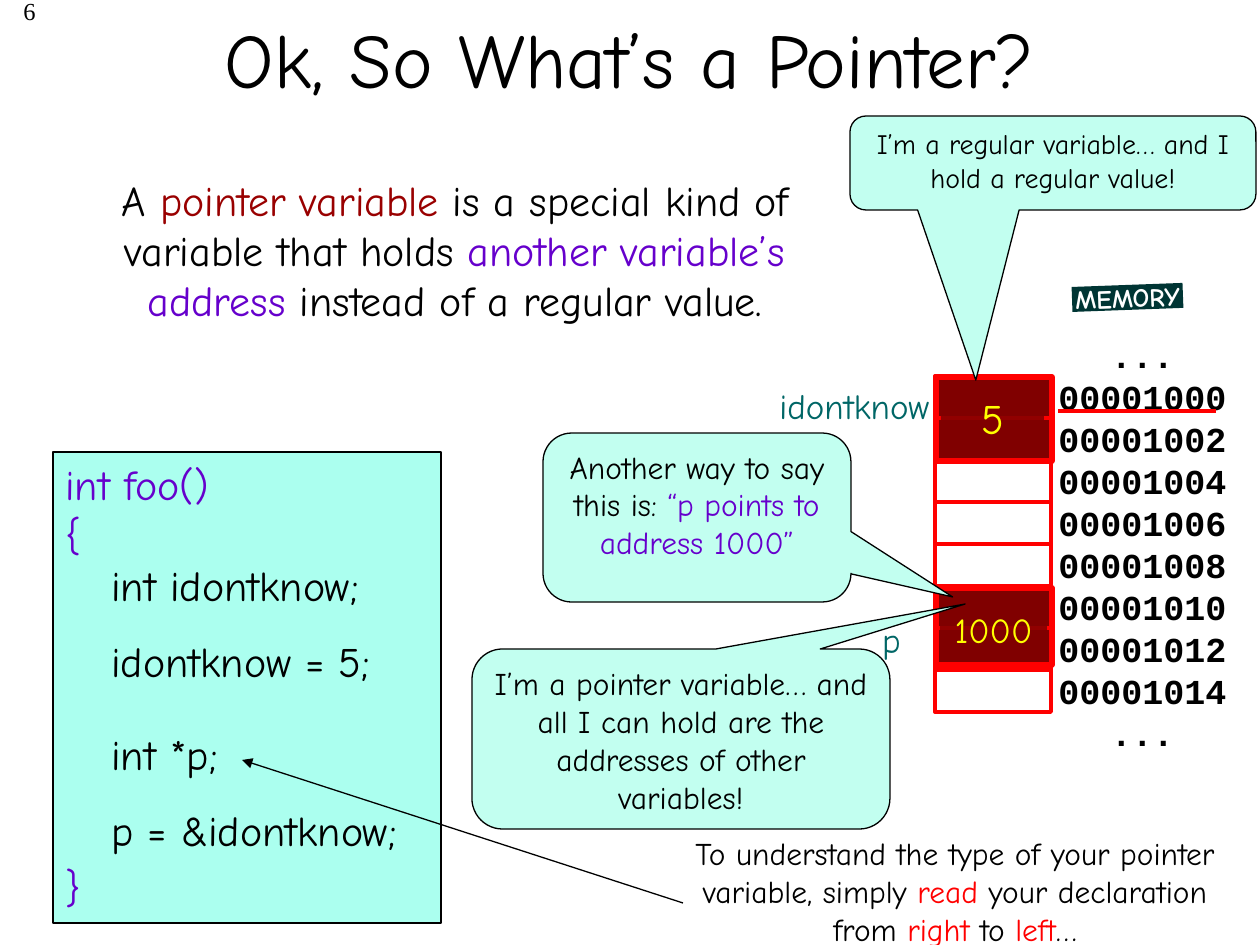
import pptx
import pptx.util
import pptx.dml.color
import pptx.enum.shapes
import pptx.enum.text
import pptx.oxml.ns
from lxml import etree

RGB = pptx.dml.color.RGBColor
SHAPE = pptx.enum.shapes.MSO_SHAPE
ALIGN = pptx.enum.text.PP_ALIGN
ANCHOR = pptx.enum.text.MSO_ANCHOR
Pt = pptx.util.Pt
qn = pptx.oxml.ns.qn

BLACK = RGB(0, 0, 0)
WHITE = RGB(255, 255, 255)
RED = RGB(255, 0, 0)
MAROON = RGB(0x80, 0, 0)
CRIMSON = RGB(0x99, 0, 0)
PURPLE = RGB(0x66, 0, 0xCC)
TEAL = RGB(0, 0x66, 0x66)
DARK_TEAL = RGB(0, 0x35, 0x34)
YELLOW = RGB(255, 255, 0)
MINT = RGB(0xAB, 0xFF, 0xEF)
PALE_MINT = RGB(0xC2, 0xFF, 0xF0)

PX = 914400 / 126  # EMU in one px

deck = pptx.Presentation()
deck.slide_width, deck.slide_height = round(1260 * PX), round(945 * PX)
slide = deck.slides.add_slide(deck.slide_layouts[6])


def add_box(at, kind=None, fill=None, line=None, width=0.75):
    """Add a preset shape, or a text box when no kind is given."""
    place = [round(v * PX) for v in at]
    if kind is None:
        return slide.shapes.add_textbox(*place)
    box = slide.shapes.add_shape(kind, *place)
    box.shadow.inherit = False
    if fill is None:
        box.fill.background()
    else:
        box.fill.solid()
        box.fill.fore_color.rgb = fill
    if line is None:
        box.line.fill.background()
    else:
        box.line.color.rgb = line
        box.line.width = Pt(width)
    return box


def write(box, paragraphs, size, align=ALIGN.CENTER, font="Comic Neue", bold=False,
          wrap=True, anchor=ANCHOR.TOP, gaps=None, pitch=None):
    """Each paragraph is a list of (text, colour) runs; gaps maps its index to space before."""
    frame = box.text_frame
    frame.word_wrap = wrap
    frame.vertical_anchor = anchor
    for i, runs in enumerate(paragraphs):
        paragraph = frame.add_paragraph() if i else frame.paragraphs[0]
        paragraph.alignment = align
        if gaps and i in gaps:
            paragraph.space_before = Pt(gaps[i])
        if pitch:
            paragraph.line_spacing = Pt(pitch)
        for text, colour in runs:
            run = paragraph.add_run()
            run.text = text
            run.font.name = font
            run.font.size = Pt(size)
            run.font.bold = bold
            run.font.color.rgb = colour


# Page number and title
write(add_box((0, -10, 48, 63)), [[("6", BLACK)]], 14, ALIGN.RIGHT, "Times New Roman")
write(add_box((94, -21, 1072, 157)), [[("Ok, So What’s a Pointer?", BLACK)]], 44,
      anchor=ANCHOR.MIDDLE)

# Variables in memory: name, name box, filled cells
for name, name_at, cells_at in [
    ("idontknow", (689, 378, 253, 55), (936, 377, 116, 84)),
    ("p", (820, 612, 93, 55), (936, 588, 116, 77)),
]:
    write(add_box(name_at), [[(name, TEAL)]], 20, ALIGN.RIGHT, wrap=False)
    add_box(cells_at, SHAPE.RECTANGLE, MAROON, RED, 3)

# Memory cells and their addresses
CELL_TOP, CELL_HEIGHT, CELL_COUNT = 376, 42, 8
for row in range(CELL_COUNT):
    add_box((935, CELL_TOP + row * CELL_HEIGHT, 116, CELL_HEIGHT), SHAPE.RECTANGLE,
            line=RED, width=2.25)
addresses = ["...", "00001000", "00001002", "00001004", "00001006", "00001008",
             "00001010", "00001012", "00001014", "..."]
write(add_box((1045, 327, 195, 432)), [[(address, BLACK)] for address in addresses], 20,
      font="Courier New", bold=True, wrap=False, pitch=24)
memory_label = add_box((1072, 285, 111, 25), SHAPE.RECTANGLE, DARK_TEAL)
memory_label.rotation = 357.9
write(memory_label, [[("MEMORY", WHITE)]], 15, bold=True, wrap=False, anchor=ANCHOR.MIDDLE)

# Code listing: frame of the function, then its two groups of statements
write(add_box((53, 452, 388, 471), SHAPE.RECTANGLE, MINT, BLACK, 1),
      [[("int foo()", PURPLE)], [("{", PURPLE)], [("}", PURPLE)]], 24, ALIGN.LEFT,
      gaps={2: 172.5})
for top, statements in [(553, ("int idontknow;", "idontknow = 5;")),
                        (722, ("int *p;", "p = &idontknow;"))]:
    write(add_box((99, top, 334, 140)), [[(code, BLACK)] for code in statements], 24,
          ALIGN.LEFT, wrap=False, gaps={1: 15})

# Values held by the variables, on a translucent cover
for value, size, value_at in [("5", 24, (941, 386, 103, 63)),
                              ("1000", 20, (940, 602, 107, 55))]:
    cover = add_box(value_at, SHAPE.RECTANGLE, MAROON)
    colour = cover.element.spPr.find(qn("a:solidFill"))[0]
    etree.SubElement(colour, qn("a:alpha")).set("val", "86000")
    write(cover, [[(value, YELLOW)]], size)

# Speech callouts
for callout_at, tail, size, runs in [
    ((850, 116, 406, 94), (-0.19, 2.31), 16,
     [("I’m a regular variable… and I hold a regular value!", BLACK)]),
    ((472, 649, 418, 180), (0.68, -0.75), 18,
     [("I’m a pointer variable… and all I can hold are the addresses of other variables!",
       BLACK)]),
    ((543, 433, 308, 169), (0.83, 0.47), 18,
     [("Another way to say this is: ", BLACK), ("“p points to address 1000”", PURPLE)]),
]:
    callout = add_box(callout_at, SHAPE.ROUNDED_RECTANGULAR_CALLOUT, PALE_MINT, BLACK)
    callout.adjustments[0], callout.adjustments[1] = tail
    callout.adjustments[2] = 0.17
    write(callout, [runs], size)

# Definition and reading hint
write(add_box((66, 168, 778, 165)), [[
    ("A ", BLACK), ("pointer variable", CRIMSON),
    (" is a special kind of variable that holds ", BLACK),
    ("another variable’s address ", PURPLE), ("instead of a regular value.", BLACK)]], 24)
write(add_box((661, 828, 588, 127)), [[
    ("To understand the type of your pointer variable, simply ", BLACK), ("read", RED),
    (" your declaration from ", BLACK), ("right", RED), (" to ", BLACK), ("left", RED),
    ("…", BLACK)]], 18)

# Address underline, and arrow from the hint to the declaration
for ends, colour, width, arrow in [((1058, 411, 1216, 411), RED, 2.25, False),
                                   ((683, 903, 242, 760), BLACK, 0.75, True)]:
    stroke = slide.shapes.add_connector(pptx.enum.shapes.MSO_CONNECTOR.STRAIGHT,
                                        *[round(v * PX) for v in ends])
    stroke.line.color.rgb = colour
    stroke.line.width = Pt(width)
    properties = stroke.element.spPr
    etree.SubElement(properties, qn("a:effectLst"))
    if arrow:
        etree.SubElement(properties.find(qn("a:ln")), qn("a:tailEnd")).set("type", "triangle")

deck.save("out.pptx")
